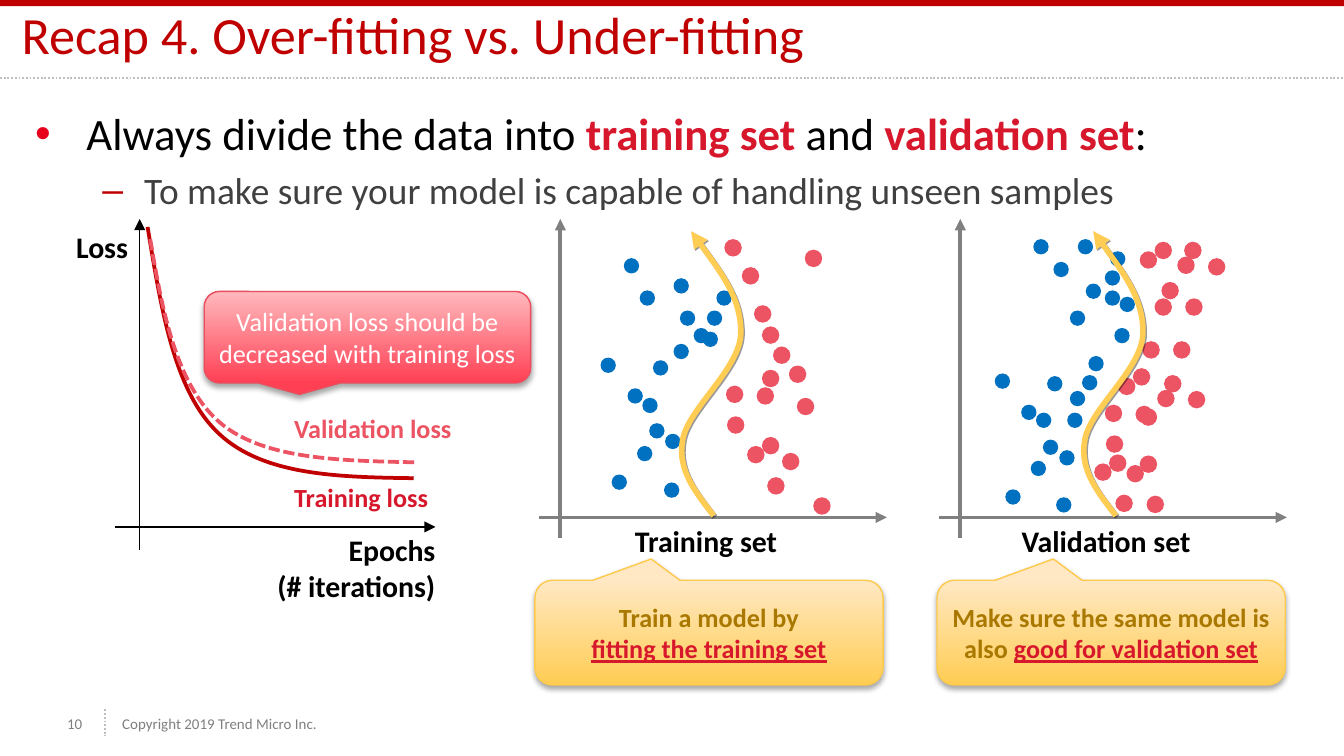
"""Build the over-fitting versus under-fitting recap slide."""
from lxml.etree import SubElement
from pptx import Presentation
from pptx.dml.color import RGBColor
from pptx.enum.dml import MSO_LINE as Dash
from pptx.enum.shapes import MSO_CONNECTOR as Connector, MSO_SHAPE as Shape
from pptx.enum.text import MSO_ANCHOR as Anchor, PP_ALIGN as Align
from pptx.oxml.ns import qn
from pptx.util import Cm, Pt

BLACK = RGBColor(0x00, 0x00, 0x00)
WHITE = RGBColor(0xFF, 0xFF, 0xFF)
CHARCOAL = RGBColor(0x40, 0x40, 0x40)
FOOTER_GRAY = RGBColor(0x7F, 0x7F, 0x7F)
AXIS_GRAY = RGBColor(0x80, 0x80, 0x80)
RULE_GRAY = RGBColor(0xBF, 0xBF, 0xBF)
DIVIDER_GRAY = RGBColor(0xBC, 0xBE, 0xC0)
DARK_RED = RGBColor(0xC0, 0x00, 0x00)
BULLET_RED = RGBColor(0xE6, 0x00, 0x1C)
KEY_RED = RGBColor(0xD7, 0x18, 0x2C)
ROSE = RGBColor(0xEC, 0x53, 0x63)
BLUE = RGBColor(0x00, 0x70, 0xC0)
AMBER = RGBColor(0xFF, 0xCD, 0x53)
AMBER_LIGHT = RGBColor(0xFF, 0xE8, 0xC3)
AMBER_EDGE = RGBColor(0xFE, 0xCA, 0x4D)
OCHRE = RGBColor(0xA9, 0x78, 0x00)
RED_DEEP = RGBColor(0xFF, 0x40, 0x54)
RED_LIGHT = RGBColor(0xFF, 0xB9, 0xBD)
RED_EDGE = RGBColor(0xEB, 0x4D, 0x5E)

PLOT_STEP = 7.56
CALLOUT_STEP = 7.6


def write(paragraph, runs, size, align=Align.LEFT):
    paragraph.alignment = align
    for text, color, style in runs:
        run = paragraph.add_run()
        run.text = text
        run.font.color.rgb = color
        for name, value in {"name": "Calibri", "size": Pt(size), "bold": False, **style}.items():
            setattr(run.font, name, value)


def cast_shadow(shape, blur, distance, angle, opacity):
    shape.shadow.inherit = False
    effects = shape._element.spPr.find(qn("a:effectLst"))
    shadow = SubElement(effects, qn("a:outerShdw"), blurRad=str(Pt(blur)), dist=str(Pt(distance)),
                        dir=str(angle * 60000), algn="ctr", rotWithShape="0")
    black = SubElement(shadow, qn("a:srgbClr"), val="000000")
    SubElement(black, qn("a:alpha"), val=str(opacity * 1000))


BOLD = {"bold": True}
UNDERLINED = {"bold": True, "underline": True}

deck = Presentation()
deck.slide_width, deck.slide_height = Cm(25.4), Cm(14.29)
slide = deck.slides.add_slide(deck.slide_layouts[1])
shapes = slide.shapes

top_band = shapes.add_shape(Shape.RECTANGLE, 0, 0, Cm(25.4), Cm(0.12))
top_band.shadow.inherit = False
top_band.fill.solid()
top_band.fill.fore_color.rgb = DARK_RED
top_band.line.fill.background()

title, body = shapes.title, slide.placeholders[1]
for placeholder, top, height in [(title, 0.08, 1.4), (body, 1.88, 11)]:
    for name, value in {"left": 0.41, "top": top, "width": 24.43, "height": height}.items():
        setattr(placeholder, name, Cm(value))
title_format = {"margin_left": 0, "margin_right": 0, "margin_top": 0, "margin_bottom": Cm(0.25),
                "vertical_anchor": Anchor.BOTTOM, "word_wrap": True}
for name, value in title_format.items():
    setattr(title.text_frame, name, value)
write(title.text_frame.paragraphs[0],
      [("Recap 4. Over-fitting vs. Under-fitting", DARK_RED, {})], 28)

advice = [("Always divide the data into ", BLACK, {}), ("training set", KEY_RED, BOLD),
          (" and ", BLACK, {}), ("validation set", KEY_RED, BOLD), (":", BLACK, {})]
reason = [("To make sure your model is capable of handling unseen samples", CHARCOAL, {})]
bullets = [(advice, 24, 0, 0.97, 0.97, "•", BULLET_RED), (reason, 20, 4, 2.06, 0.79, "–", DARK_RED)]
for level, (runs, size, before, margin, hanging, mark, color) in enumerate(bullets):
    point = body.text_frame.add_paragraph() if level else body.text_frame.paragraphs[0]
    point.level = level
    point.space_before = Pt(before)
    layout = point._p.get_or_add_pPr()
    layout.set("marL", str(Cm(margin)))
    layout.set("indent", str(-Cm(hanging)))
    SubElement(SubElement(layout, qn("a:buClr")), qn("a:srgbClr"), val=str(color))
    SubElement(layout, qn("a:buFont"), typeface="Arial")
    SubElement(layout, qn("a:buChar"), char=mark)
    write(point, runs, size)

straight_lines = [
    (0, 1.47, 25.4, 1.47, RULE_GRAY, 1, False),
    (1.98, 13.41, 1.98, 13.92, DIVIDER_GRAY, 1, False),
    (2.18, 9.96, 8.23, 9.96, BLACK, 0.75, True),
    (2.64, 10.39, 2.64, 4.14, BLACK, 0.75, True),
]
for shift in (0, PLOT_STEP):
    straight_lines += [
        (10.59 + shift, 10.16, 10.59 + shift, 4.14, AXIS_GRAY, 2, True),
        (10.19 + shift, 9.78, 16.76 + shift, 9.78, AXIS_GRAY, 2, True),
    ]
for *ends, color, width, is_axis in straight_lines:
    rule = shapes.add_connector(Connector.STRAIGHT, *map(Cm, ends))
    rule.line.color.rgb = color
    rule.line.width = Pt(width)
    if is_axis:
        SubElement(rule.line._get_or_add_ln(), qn("a:tailEnd"), type="triangle")
    else:
        rule.line.dash_style = Dash.ROUND_DOT
    SubElement(rule._element.spPr, qn("a:effectLst"))

training_blue = [
    (13.36, 5.87), (13.11, 6.2), (12.85, 5.87), (12.73, 6.5), (11.56, 8.97), (13.54, 5.49),
    (12.73, 5.26), (12.09, 5.49), (12.34, 6.81), (12.14, 7.52), (11.86, 7.34), (12.27, 8),
    (12.57, 8.2), (12.04, 8.43), (12.55, 9.12), (13.28, 6.27), (11.79, 4.88), (11.35, 6.76)]
training_red = [
    (13.72, 7.29), (13.74, 7.87), (14.4, 8.26), (14.12, 8.43), (14.91, 6.91), (14.3, 7.32),
    (14.61, 6.55), (14.4, 6.17), (14.25, 5.77), (14.02, 5.05), (14.78, 8.56), (15.06, 7.52),
    (15.21, 4.72), (14.5, 9.02), (14.4, 6.99), (15.37, 9.4), (13.69, 4.52)]
validation_blue = [
    (19, 9.25), (19.79, 7.11), (19.58, 7.8), (19.3, 7.65), (19.71, 8.31), (20.02, 8.51),
    (19.48, 8.71), (19.96, 9.4), (18.8, 7.06), (20.57, 6.73), (20.88, 5.11), (21.06, 6.2),
    (20.37, 4.52), (20.22, 7.39), (20.45, 7.09), (20.17, 7.8), (19.53, 4.52), (19.91, 4.95),
    (21.16, 5.61), (20.52, 5.36), (20.98, 4.75), (20.22, 5.87), (20.88, 5.49)]
validation_red = [
    (20.88, 7.65), (20.9, 8.23), (21.54, 8.61), (21.29, 8.79), (21.46, 7.67), (21.67, 9.37),
    (20.96, 8.59), (20.68, 8.76), (21.08, 9.35), (22.4, 5.64), (21.82, 5.64), (22.17, 6.45),
    (21.59, 6.45), (21.41, 6.96), (21.13, 7.14), (21.54, 7.72), (21.82, 4.57), (21.54, 4.75),
    (21.95, 5.33), (22.45, 7.39), (21.87, 7.37), (22, 7.09), (22.83, 4.88), (22.25, 4.85),
    (22.38, 4.57)]
for samples, color, diameter in [(training_blue + validation_blue, BLUE, 0.29),
                                 (training_red + validation_red, ROSE, 0.33)]:
    for left, top in samples:
        sample = shapes.add_shape(Shape.OVAL, Cm(left), Cm(top), Cm(diameter), Cm(diameter))
        sample.shadow.inherit = False
        sample.fill.solid()
        sample.fill.fore_color.rgb = color
        sample.line.fill.background()

boundary = [(13.06, 4.37), (13.54, 5.03), (14.02, 5.66), (14, 6.32), (13.97, 6.99),
            (12.98, 7.75), (12.9, 8.33), (12.8, 8.89), (13.16, 9.32), (13.49, 9.75)]
training_loss = [(2.79, 4.29), (3.05, 5.87), (3.3, 7.42), (4.14, 8.2),
                 (4.98, 8.99), (6.4, 9.02), (7.82, 9.04)]
validation_loss = [(2.84, 4.52), (3.07, 5.89), (3.33, 7.29), (4.17, 8),
                   (5, 8.69), (6.45, 8.71), (7.87, 8.74)]
for knots, shift, color, width, dash in [
        (boundary, 0, AMBER, 3, None), (boundary, CALLOUT_STEP, AMBER, 3, None),
        (training_loss, 0, DARK_RED, 2, None), (validation_loss, 0, ROSE, 2, Dash.SQUARE_DOT)]:
    start, *controls = [(Cm(x + shift), Cm(y)) for x, y in knots]
    builder = shapes.build_freeform(*start)
    builder.add_line_segments(controls, close=False)
    curve = builder.convert_to_shape()
    outline = curve._element.find(".//" + qn("a:path"))
    for index, segment in enumerate(outline.findall(qn("a:lnTo"))):
        if index % 3 == 0:
            bezier = SubElement(outline, qn("a:cubicBezTo"))
        bezier.append(segment[0])
        outline.remove(segment)
    curve.shadow.inherit = False
    curve.fill.background()
    curve.line.color.rgb = color
    curve.line.width = Pt(width)
    curve.line.dash_style = dash
    if knots is boundary:
        SubElement(curve.line._get_or_add_ln(), qn("a:headEnd"), type="triangle")
        cast_shadow(curve, 0, 1, 45, 40)

labels = [
    (["Training set"], 10.59, 9.75, 5.51, 0.94, 16, BLACK, Align.CENTER),
    (["Validation set"], 10.59 + PLOT_STEP, 9.75, 5.51, 0.94, 16, BLACK, Align.CENTER),
    (["Validation loss"], 5.31, 7.67, 3.81, 0.86, 14, ROSE, Align.LEFT),
    (["Training loss"], 5.31, 8.97, 3.81, 0.86, 14, KEY_RED, Align.LEFT),
    (["Epochs", "(# iterations)"], 4.11, 9.93, 4.37, 1.63, 16, BLACK, Align.RIGHT),
    (["Loss"], 0.99, 4.19, 1.68, 0.94, 16, BLACK, Align.RIGHT),
    (["10"], 1.27, 13.28, 0.64, 0.79, 8, FOOTER_GRAY, Align.LEFT),
    (["Copyright 2019 Trend Micro Inc."], 2.31, 13.28, 4.24, 0.79, 8, FOOTER_GRAY, Align.LEFT),
]
FLUSH = {"margin_left": 0, "margin_right": 0, "margin_top": 0, "margin_bottom": 0,
         "vertical_anchor": Anchor.MIDDLE, "word_wrap": True}
for lines, *area, size, color, align in labels:
    frame = shapes.add_textbox(*map(Cm, area)).text_frame
    is_footer = color == FOOTER_GRAY
    for name, value in (FLUSH if is_footer else {"word_wrap": True}).items():
        setattr(frame, name, value)
    for number, line in enumerate(lines):
        paragraph = frame.add_paragraph() if number else frame.paragraphs[0]
        write(paragraph, [(line, color, {"bold": not is_footer})], size, align)

train_note = [[("Train a model by", OCHRE, BOLD)], [("fitting the training set", KEY_RED, UNDERLINED)]]
check_note = [[("Make sure the same model is also ", OCHRE, BOLD),
               ("good for validation set", KEY_RED, UNDERLINED)]]
loss_note = [[("Validation loss should be decreased with training loss", WHITE, {})]]
amber_look = (AMBER, AMBER_LIGHT, AMBER_EDGE, (-0.166, -0.704, 0.167))
red_look = (RED_DEEP, RED_LIGHT, RED_EDGE, (-0.208, 0.625, 0.167))
for note, area, (deep, light, edge, pointer) in [
        (train_note, (10.11, 10.97, 6.58, 1.98), amber_look),
        (check_note, (10.11 + CALLOUT_STEP, 10.97, 6.58, 1.98), amber_look),
        (loss_note, (3.86, 5.51, 6.17, 1.73), red_look)]:
    callout = shapes.add_shape(Shape.ROUNDED_RECTANGULAR_CALLOUT, *map(Cm, area))
    for index, value in enumerate(pointer):
        callout.adjustments[index] = value
    callout.fill.gradient()
    callout.fill.gradient_angle = 90
    for stop, color in zip(callout.fill.gradient_stops, (deep, light)):
        stop.color.rgb = color
    callout.line.color.rgb = edge
    callout.line.width = Pt(0.75)
    cast_shadow(callout, 3.1, 1.8, 90, 35)
    frame = callout.text_frame
    for name, value in FLUSH.items():
        setattr(frame, name, value)
    for number, runs in enumerate(note):
        paragraph = frame.add_paragraph() if number else frame.paragraphs[0]
        write(paragraph, runs, 14, Align.CENTER)

deck.save("out.pptx")
